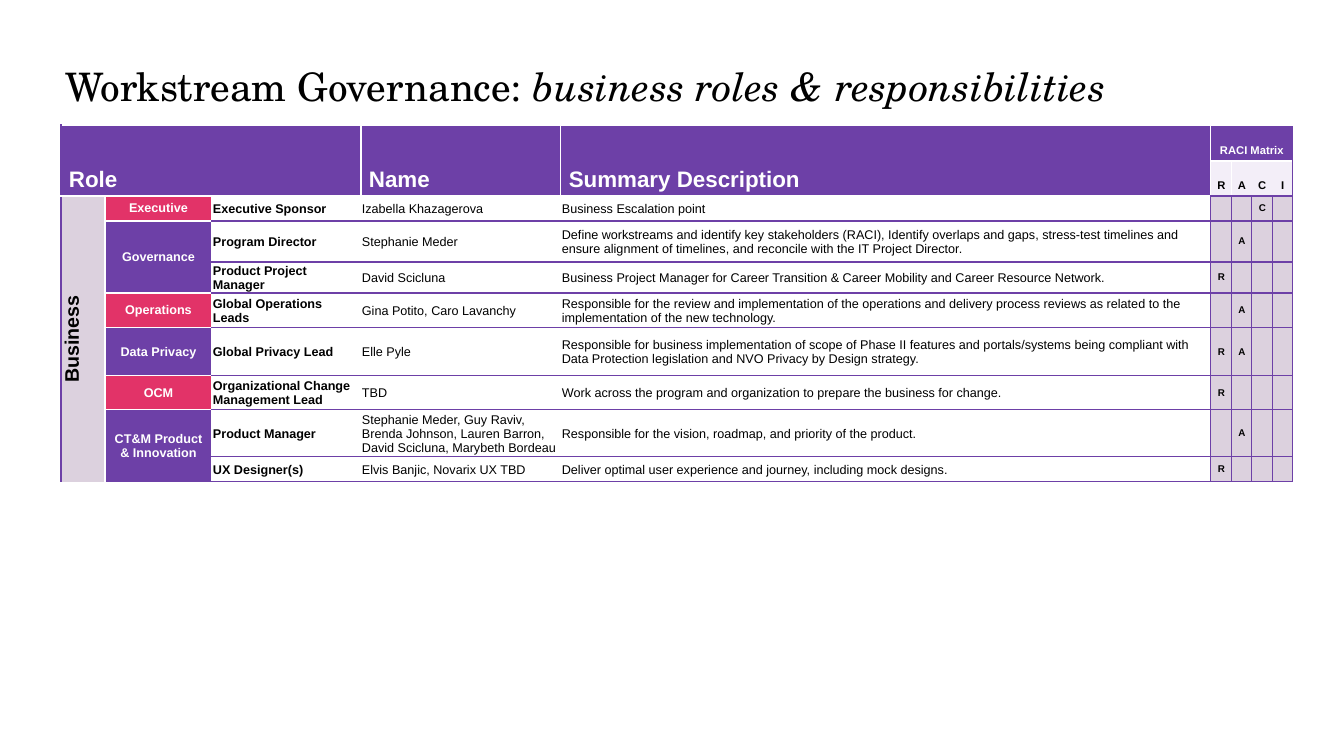
from lxml.etree import SubElement
from pptx import Presentation
from pptx.dml.color import RGBColor
from pptx.enum.text import MSO_ANCHOR as Anchor, MSO_AUTO_SIZE as AutoSize, PP_ALIGN as Align
from pptx.oxml.ns import qn
from pptx.util import Pt

PURPLE = RGBColor(0x6D, 0x40, 0xA7)
PINK = RGBColor(0xE2, 0x33, 0x68)
LILAC = RGBColor(0xDC, 0xD1, 0xDE)
PALE = RGBColor(0xF3, 0xEE, 0xF8)
WHITE = RGBColor(0xFF, 0xFF, 0xFF)
BLACK = RGBColor(0x00, 0x00, 0x00)

PLAIN_TABLE_STYLE = "{2D5ABB26-0587-4C30-8999-92F81FD0307C}"
EDGE_COLORS = {"p": PURPLE, "w": WHITE}
RACI = "RACI"
FIRST_ROLE_ROW = 2
COLUMN_WIDTHS = [44, 107, 149, 200, 650, 21, 20, 21, 20]
ROW_HEIGHTS = [36, 35, 25, 41, 31, 35, 48, 34, 47, 25]

CATEGORIES = [
    ("Executive", 1),
    ("Governance", 2),
    ("Operations", 1),
    ("Data Privacy", 1),
    ("OCM", 1),
    ("CT&M Product & Innovation", 2),
]

ROLES = [
    ("Executive Sponsor", "Izabella Khazagerova", "Business Escalation point", "C"),
    ("Program Director", "Stephanie Meder",
     "Define workstreams and identify key stakeholders (RACI), Identify overlaps and gaps, "
     "stress-test timelines and ensure alignment of timelines, and reconcile with the IT Project Director.", "A"),
    ("Product Project Manager", "David Scicluna",
     "Business Project Manager for Career Transition & Career Mobility and Career Resource Network.", "R"),
    ("Global Operations Leads", "Gina Potito, Caro Lavanchy",
     "Responsible for the review and implementation of the operations and delivery process reviews "
     "as related to the implementation of the new technology.", "A"),
    ("Global Privacy Lead", "Elle Pyle",
     "Responsible for business implementation of scope of Phase II features and portals/systems being "
     "compliant with Data Protection legislation and NVO Privacy by Design strategy.", "RA"),
    ("Organizational Change Management Lead", "TBD",
     "Work across the program and organization to prepare the business for change.", "R"),
    ("Product Manager", "Stephanie Meder, Guy Raviv, Brenda Johnson, Lauren Barron, David Scicluna, Marybeth Bordeau",
     "Responsible for the vision, roadmap, and priority of the product.", "A"),
    ("UX Designer(s)", "Elvis Banjic, Novarix UX TBD",
     "Deliver optimal user experience and journey, including mock designs.", "R"),
]


def px(length):
    return round(length * 914400 / 100.8)


def write_text(paragraph, text, size=9, font="Arial", color=BLACK, bold=False, italic=False, align=Align.LEFT):
    paragraph.alignment = align
    run = paragraph.add_run()
    run.text = text
    run.font.size = Pt(size)
    run.font.name = font
    run.font.color.rgb = color
    run.font.bold = bold
    run.font.italic = italic


class GovernanceSlide:
    title_font = "TeX Gyre Schola"
    title_size = 28

    def __init__(self, presentation):
        self.slide = presentation.slides.add_slide(presentation.slide_layouts[5])

    def title(self, left, top, width, height, plain, emphasis):
        shape = self.slide.shapes.title
        shape.left, shape.top, shape.width, shape.height = map(px, (left, top, width, height))
        frame = shape.text_frame
        frame.margin_left = frame.margin_right = frame.margin_top = frame.margin_bottom = 0
        frame.word_wrap = False
        frame.auto_size = AutoSize.NONE
        frame.vertical_anchor = Anchor.TOP
        paragraph = frame.paragraphs[0]
        paragraph.space_after = Pt(6)
        paragraph.line_spacing = 1.0
        write_text(paragraph, plain, size=self.title_size, font=self.title_font)
        write_text(paragraph, emphasis, size=self.title_size, font=self.title_font, italic=True)

    def table(self, left, top, widths, heights):
        frame = self.slide.shapes.add_table(
            len(heights), len(widths), px(left), px(top), px(sum(widths)), px(sum(heights)))
        self.grid = frame.table
        self.grid.first_row = self.grid.horz_banding = False
        self.grid._tbl.tblPr.find(qn("a:tableStyleId")).text = PLAIN_TABLE_STYLE
        for column, width in zip(self.grid.columns, widths):
            column.width = px(width)
        for row, height in zip(self.grid.rows, heights):
            row.height = px(height)
        for cell in self.grid.iter_cells():
            self.margins(cell, 0, 0, 0)
            SubElement(cell.text_frame.paragraphs[0]._p, qn("a:endParaRPr"), sz="700")

    def margins(self, cell, side, top, bottom):
        cell.margin_left = cell.margin_right = px(side)
        cell.margin_top, cell.margin_bottom = px(top), px(bottom)

    def border(self, cell, side, color):
        properties = cell._tc.get_or_add_tcPr()
        line = SubElement(properties, qn("a:ln" + side), w=str(Pt(1)))
        fill = SubElement(line, qn("a:solidFill"))
        SubElement(fill, qn("a:srgbClr"), val=str(color))

    def cell(self, row, column, text, fill, edges, span=(1, 1), margins=(1, 1, 0),
             anchor=Anchor.MIDDLE, vertical=False, **text_format):
        last_row, last_column = row + span[0] - 1, column + span[1] - 1
        origin = self.grid.cell(row, column)
        if span != (1, 1):
            origin.merge(self.grid.cell(last_row, last_column))
        for r in range(row, last_row + 1):
            for c in range(column, last_column + 1):
                part = self.grid.cell(r, c)
                outside = (c == column, c == last_column, r == row, r == last_row)
                for side, edge, is_outside in zip("LRTB", edges, outside):
                    if is_outside and edge in EDGE_COLORS:
                        self.border(part, side, EDGE_COLORS[edge])
                part.fill.solid()
                part.fill.fore_color.rgb = fill
        self.margins(origin, *margins)
        origin.vertical_anchor = anchor
        if vertical:
            origin._tc.get_or_add_tcPr().set("vert", "vert270")
        if text:
            write_text(origin.text_frame.paragraphs[0], text, **text_format)

    def header(self):
        style = dict(margins=(8, 4, 4), anchor=Anchor.BOTTOM, color=WHITE, bold=True)
        self.cell(0, 0, "Role", PURPLE, "pwww", span=(2, 3), size=16, **style)
        self.cell(0, 3, "Name", PURPLE, "wwww", span=(2, 1), size=16, **style)
        self.cell(0, 4, "Summary Description", PURPLE, "wwww", span=(2, 1), size=16, **style)
        self.cell(0, 5, "RACI Matrix", PURPLE, "wwww", span=(1, 4), size=8, align=Align.CENTER, **style)
        for column, (letter, edges) in enumerate(zip(RACI, ("w-wp", "--wp", "--wp", "-pwp")), 5):
            self.cell(1, column, letter, PALE, edges, margins=(4, 4, 4), anchor=Anchor.BOTTOM,
                      size=8, bold=True, align=Align.CENTER)

    def categories(self):
        self.cell(FIRST_ROLE_ROW, 0, "Business", LILAC, "pwwp", span=(len(ROLES), 1), margins=(7, 0, 0),
                  vertical=True, size=14, bold=True, align=Align.CENTER)
        row = FIRST_ROLE_ROW
        for index, (name, count) in enumerate(CATEGORIES):
            edges = "w-wp" if index == len(CATEGORIES) - 1 else "w-ww"
            self.cell(row, 1, name, PURPLE if index % 2 else PINK, edges, span=(count, 1),
                      margins=(6, 0, 0), color=WHITE, bold=True, align=Align.CENTER)
            row += count

    def roles(self):
        for row, (role, name, summary, duties) in enumerate(ROLES, FIRST_ROLE_ROW):
            top = "w" if row == FIRST_ROLE_ROW else "p"
            self.cell(row, 2, role, WHITE, f"--{top}p", bold=True)
            self.cell(row, 3, name, WHITE, f"--{top}p")
            self.cell(row, 4, summary, WHITE, f"-p{top}p")
            for column, letter in enumerate(RACI, 5):
                self.cell(row, column, letter if letter in duties else "", LILAC, "pppp",
                          margins=(4, 4, 4), size=7, bold=True, align=Align.CENTER)


def main():
    presentation = Presentation()
    presentation.slide_width, presentation.slide_height = px(1344), px(756)
    slide = GovernanceSlide(presentation)
    slide.table(61, 125, COLUMN_WIDTHS, ROW_HEIGHTS)
    slide.header()
    slide.categories()
    slide.roles()
    slide.title(65, 62, 1214, 81, "Workstream Governance: ", "business roles & responsibilities")
    presentation.save("out.pptx")


if __name__ == "__main__":
    main()
